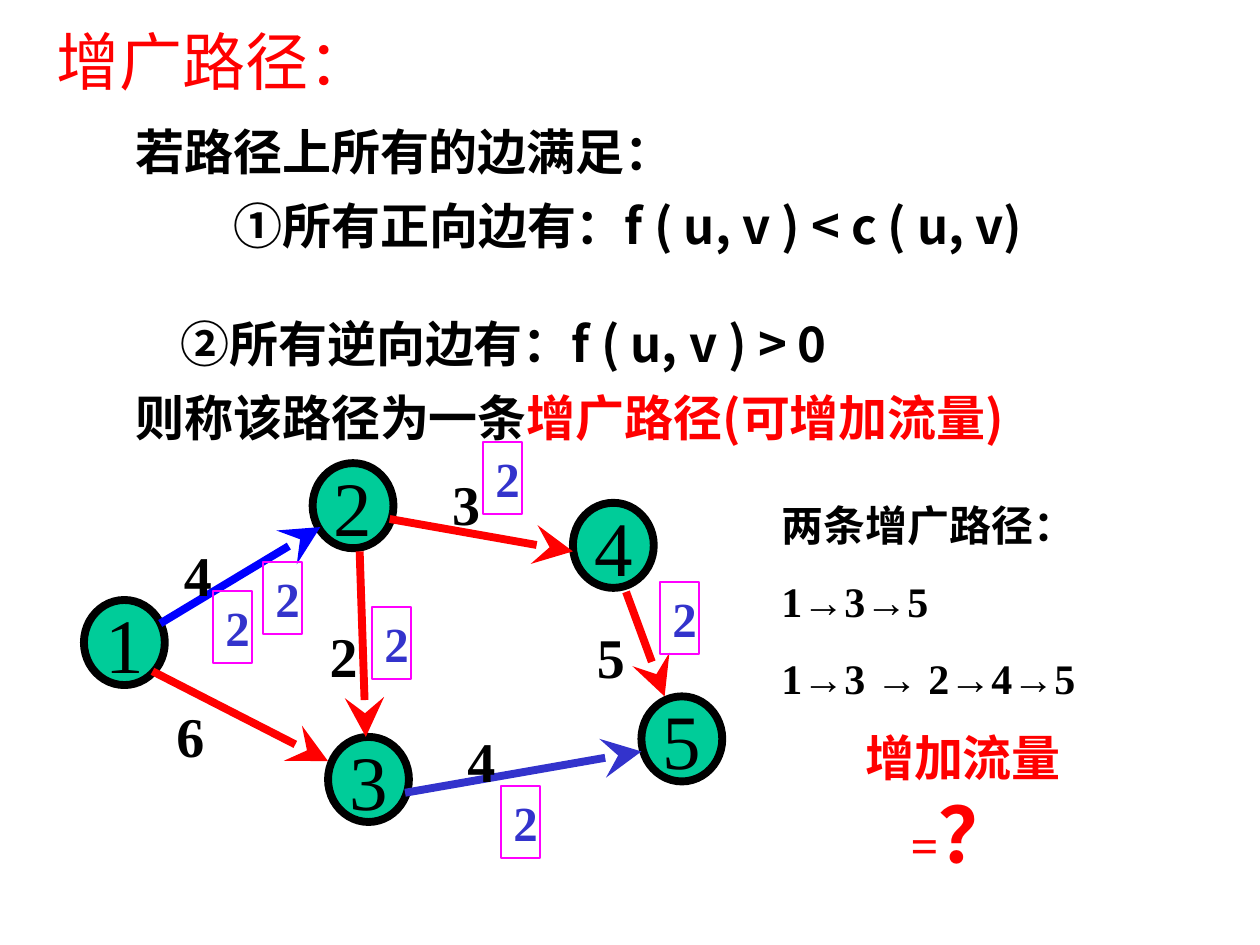
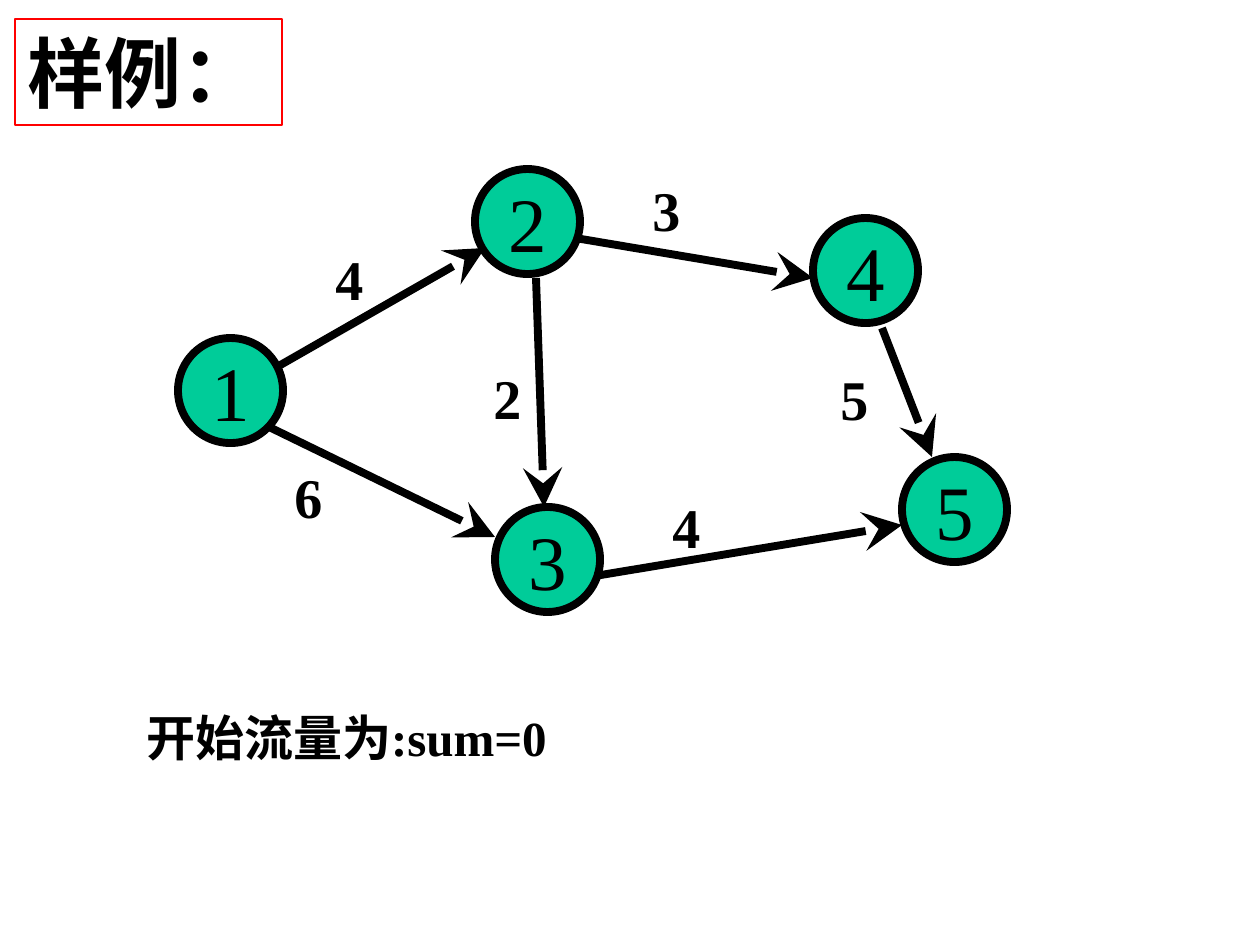
import pptx
import pptx.util
import pptx.dml.color
import pptx.enum.shapes
import pptx.enum.text
import pptx.oxml
import pptx.oxml.ns
from lxml import etree

RGB = pptx.dml.color.RGBColor
BLACK = RGB(0x00, 0x00, 0x00)
RED = RGB(0xFF, 0x00, 0x00)
BLUE = RGB(0x00, 0x00, 0xFF)
INDIGO = RGB(0x33, 0x33, 0xCC)
MAGENTA = RGB(0xFF, 0x00, 0xFF)
GREEN = RGB(0x00, 0xCC, 0x99)

SERIF, SANS, CJK = "Times New Roman", "Arial", "Noto Sans CJK SC"
EMU_PER_PX = 914400 / 126
SHAPES = pptx.enum.shapes.MSO_SHAPE
ALIGN = pptx.enum.text.PP_ALIGN
ANCHOR = pptx.enum.text.MSO_ANCHOR
FIT = pptx.enum.text.MSO_AUTO_SIZE

# The flow network, in px at full size.
NODE_SIZE = 105
NODES = {1: (178, 338), 2: (475, 169), 4: (813, 218), 3: (495, 507), 5: (902, 457)}
EDGES = {  # (from node, to node): start, end, capacity, label corner
    (1, 2): ((277, 367), (485, 248), 4, (323, 238)),
    (1, 3): ((267, 426), (495, 537), 6, (282, 456)),
    (2, 4): ((575, 238), (813, 278), 3, (640, 169)),
    (4, 5): ((882, 328), (932, 457), 5, (828, 358)),
    (2, 3): ((536, 278), (544, 507), 2, (481, 357)),
    (3, 5): ((595, 576), (902, 525), 4, (660, 486)),
}
LABEL_WIDTH, LABEL_HEIGHT = 59, 81

# The small network: where node 1 goes, and how far everything shrinks.
SMALL_ORIGIN, SMALL_SCALE = (84, 600), (0.77, 0.81)
EDGE_COLORS = {(1, 2): BLUE, (3, 5): INDIGO}
LABEL_SHIFTS = {(1, 2): (-24, 15)}
FLOW_BOXES = [(213, 591), (372, 607), (501, 786), (263, 562), (483, 442), (660, 582)]

# Paragraphs: spans of (text, overrides), then paragraph settings.
CONDITIONS = [
    ([("若路径上所有的边满足：", {})], {}),
    ([("①所有正向边有：f ( u, v ) < c ( u, v)", {})], {"indent": 98}),
    ([("②所有逆向边有：f ( u, v ) > 0", {})], {"indent": 45, "before": 34}),
    ([("则称该路径为一条", {}), ("增广路径(可增加流量)", {"color": RED})], {}),
]
ARROW = ("→", {"font": SANS})
PATHS = [
    ([("两条增广路径：", {})], {}),
    ([("1", {}), ARROW, ("3", {}), ARROW, ("5", {})], {}),
    ([("1", {}), ARROW, ("3 ", {}), ARROW, (" 2", {}), ARROW, ("4", {}), ARROW,
      ("5", {})], {}),
]
QUESTION = [([("增加流量\v=", {}), ("？", {"size": 44})], {})]


def px(length):
    return pptx.util.Emu(round(length * EMU_PER_PX))


def format_font(font, name, size, color, bold):
    font.name, font.size, font.bold = name, pptx.util.Pt(size), bold
    font.color.rgb = color
    latin = font._element.find(pptx.oxml.ns.qn("a:latin"))
    east_asian = etree.Element(pptx.oxml.ns.qn("a:ea"), typeface=CJK)
    latin.addnext(east_asian)


def write(shape, content, font=SERIF, size=28, color=BLACK, bold=True,
          before=0, align=ALIGN.LEFT):
    """Fill a shape with a string, or with paragraphs of formatted spans."""
    if isinstance(content, str):
        content = [([(content, {})], {})]
    frame = shape.text_frame
    for index, (spans, settings) in enumerate(content):
        para = frame.paragraphs[0] if index == 0 else frame.add_paragraph()
        para.alignment = align
        para.space_before = pptx.util.Pt(settings.get("before", before))
        if "indent" in settings:
            para._p.get_or_add_pPr().set("marL", str(px(settings["indent"])))
        for text, changes in spans:
            look = {"name": font, "size": size, "color": color, "bold": bold}
            look.update({"name" if key == "font" else key: value
                         for key, value in changes.items()})
            for number, line in enumerate(text.split("\v")):
                if number:
                    para.add_line_break()
                span = para.add_run()
                span.text = line
                format_font(span.font, **look)


def add_text(page, content, left, top, width, height, outline=None, **look):
    area = [px(value) for value in (left, top, width, height)]
    if outline is None:
        box = page.shapes.add_textbox(*area)
    else:
        box = page.shapes.add_shape(SHAPES.RECTANGLE, *area)
        box.shadow.inherit = False
        box.fill.background()
        box.line.color.rgb = outline
        box.line.width = pptx.util.Pt(0.75)
    frame = box.text_frame
    frame.word_wrap = True
    frame.auto_size = FIT.SHAPE_TO_FIT_TEXT
    frame.vertical_anchor = ANCHOR.TOP
    write(box, content, **look)


def add_node(page, name, left, top, width, height):
    node = page.shapes.add_shape(
        SHAPES.OVAL, px(left), px(top), px(width), px(height))
    node.shadow.inherit = False
    node.fill.solid()
    node.fill.fore_color.rgb = GREEN
    node.line.color.rgb = BLACK
    node.line.width = pptx.util.Pt(4.5)
    node.text_frame.word_wrap = False
    node.text_frame.vertical_anchor = ANCHOR.MIDDLE
    write(node, str(name), size=44, bold=False, align=ALIGN.CENTER)


def add_arrow(page, start, end, color):
    arrow = page.shapes.add_connector(
        pptx.enum.shapes.MSO_CONNECTOR.STRAIGHT,
        *[px(value) for value in (*start, *end)])
    arrow.line.color.rgb = color
    arrow.line.width = pptx.util.Pt(4.5)
    etree.SubElement(arrow.line._get_or_add_ln(), pptx.oxml.ns.qn("a:tailEnd"),
                     type="stealth", w="lg", len="lg")
    etree.SubElement(arrow._element.spPr, pptx.oxml.ns.qn("a:effectLst"))


def draw_network(page, origin=NODES[1], scale=(1, 1), edge_color=BLACK,
                 edge_colors={}, label_shifts={}):
    """Draw the network with node 1 at origin, scaled in x and y."""
    def place(point):
        return [origin[axis] + scale[axis] * (point[axis] - NODES[1][axis])
                for axis in (0, 1)]

    for name, corner in NODES.items():
        add_node(page, name, *place(corner),
                 NODE_SIZE * scale[0], NODE_SIZE * scale[1])
    for edge, (start, end, _, _) in EDGES.items():
        add_arrow(page, place(start), place(end), edge_colors.get(edge, edge_color))
    for edge, (_, _, capacity, corner) in EDGES.items():
        left, top = place(corner)
        shift_x, shift_y = label_shifts.get(edge, (0, 0))
        add_text(page, str(capacity), left + shift_x, top + shift_y,
                 LABEL_WIDTH * scale[0], LABEL_HEIGHT, size=32, before=20)


def build_path_page(page):
    add_text(page, CONDITIONS, 123, 115, 1052, 455, font=CJK, before=8.8)
    add_text(page, "增广路径：", 44, 16, 397, 88, size=36, color=RED,
             bold=False, before=22.5)
    add_text(page, PATHS, 769, 493, 417, 217, size=24, before=15)
    draw_network(page, SMALL_ORIGIN, SMALL_SCALE, RED, EDGE_COLORS, LABEL_SHIFTS)
    for left, top in FLOW_BOXES:
        add_text(page, "2", left, top, 39, 72, outline=MAGENTA, color=INDIGO,
                 before=17.5)
    add_text(page, QUESTION, 789, 721, 348, 106, color=RED, before=27.5,
             align=ALIGN.CENTER)


def build_sample_page(page):
    draw_network(page)
    add_text(page, "样例：", 15, 19, 267, 106, outline=RED, size=44, before=27.5)
    add_text(page, "开始流量为:sum=0", 134, 701, 437, 131, before=17.5)


def main():
    deck = pptx.Presentation()
    deck.slide_width, deck.slide_height = px(1260), px(945)
    for build in (build_path_page, build_sample_page):
        build(deck.slides.add_slide(deck.slide_layouts[6]))
    deck.save("out.pptx")


if __name__ == "__main__":
    main()
